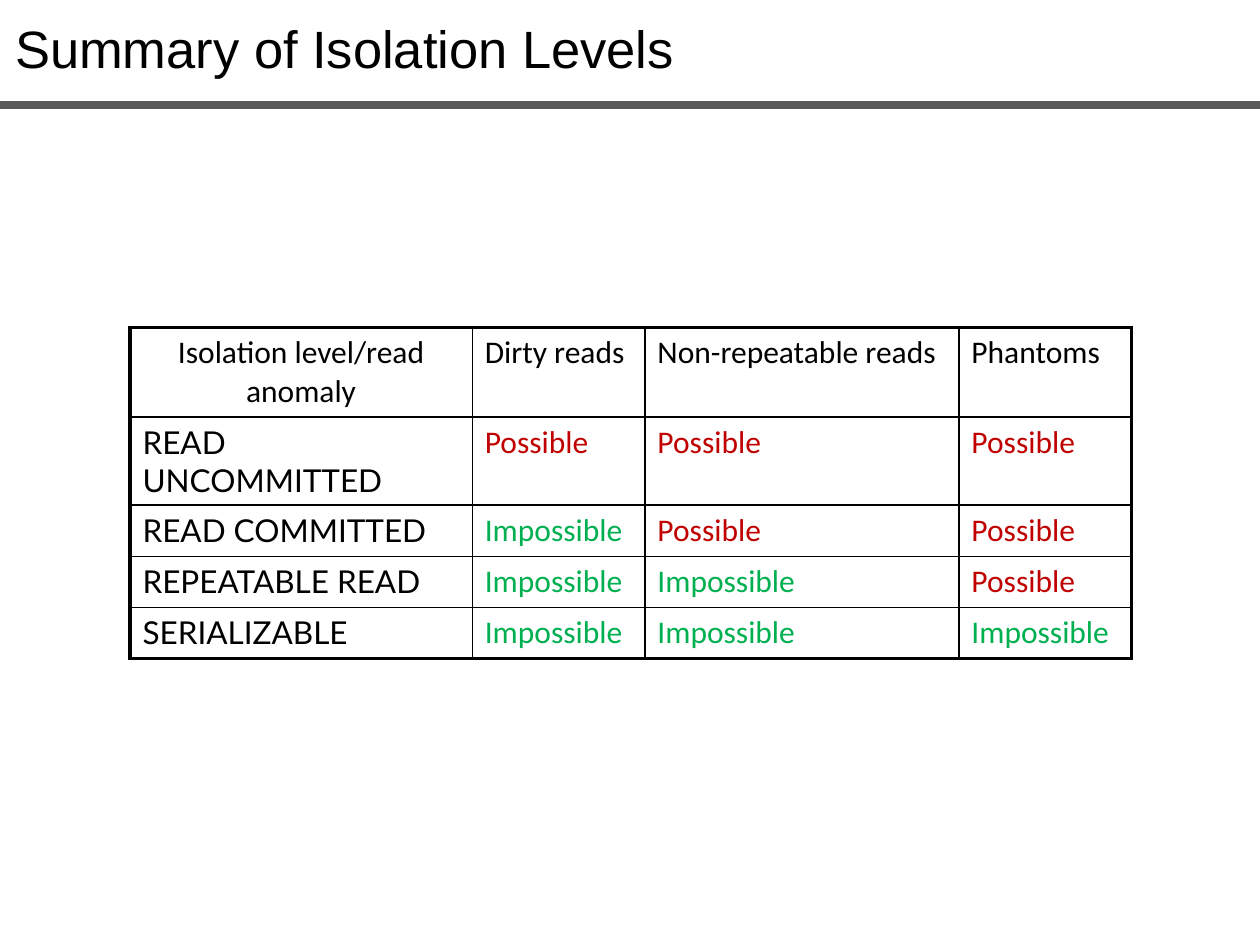
import pptx
import pptx.util
import pptx.dml.color
import pptx.enum.shapes
import pptx.enum.text
import pptx.oxml.ns
import lxml.etree

Cm = pptx.util.Cm
Pt = pptx.util.Pt
qn = pptx.oxml.ns.qn


def paint(color, code):
    color.rgb = pptx.dml.color.RGBColor.from_string(code)


def edge(cell, side, width):
    line = lxml.etree.SubElement(cell._tc.get_or_add_tcPr(), qn("a:ln" + side), w=str(Pt(width)))
    fill = lxml.etree.SubElement(line, qn("a:solidFill"))
    lxml.etree.SubElement(fill, qn("a:srgbClr"), val="000000")


deck = pptx.Presentation()
deck.slide_width = Cm(25.4)
deck.slide_height = Cm(19.05)
slide = deck.slides.add_slide(deck.slide_layouts[5])

title = slide.shapes.title
title.left, title.top, title.width, title.height = Cm(0.05), Cm(0.18), Cm(25.35), Cm(1.55)
frame = title.text_frame
frame.text = "Summary of Isolation Levels"
frame.auto_size = pptx.enum.text.MSO_AUTO_SIZE.NONE
frame.vertical_anchor = pptx.enum.text.MSO_ANCHOR.MIDDLE
frame.paragraphs[0].alignment = pptx.enum.text.PP_ALIGN.LEFT
font = frame.paragraphs[0].runs[0].font
font.name = "Arial"
font.size = Pt(30)
paint(font.color, "000000")

rule = slide.shapes.add_connector(
    pptx.enum.shapes.MSO_CONNECTOR.STRAIGHT, Cm(0), Cm(2.11), Cm(25.4), Cm(2.11))
rule.line.width = Pt(4.5)
paint(rule.line.color, "595959")
lxml.etree.SubElement(rule._element.spPr, qn("a:effectLst"))

rows = [
    ["Isolation level/read anomaly", "Dirty reads", "Non-repeatable reads", "Phantoms"],
    ["READ UNCOMMITTED", "Possible", "Possible", "Possible"],
    ["READ COMMITTED", "Impossible", "Possible", "Possible"],
    ["REPEATABLE READ", "Impossible", "Impossible", "Possible"],
    ["SERIALIZABLE", "Impossible", "Impossible", "Impossible"],
]
widths = [6.9, 3.48, 6.33, 3.48]
heights = [1.79, 1.78, 1.02, 1.02, 1.02]
colors = {"Possible": "C00000", "Impossible": "00B050"}

table = slide.shapes.add_table(
    len(rows), len(widths), Cm(2.62), Cm(6.6), Cm(sum(widths)), Cm(sum(heights))).table
table.first_row = False
table.horz_banding = False
for column, width in zip(table.columns, widths):
    column.width = Cm(width)
for row, height in zip(table.rows, heights):
    row.height = Cm(height)

for r, texts in enumerate(rows):
    for c, text in enumerate(texts):
        cell = table.cell(r, c)
        outer = {"L": c == 0, "R": c == len(widths) - 1, "T": r == 0, "B": r == len(rows) - 1}
        for side, thick in outer.items():
            edge(cell, side, 2.25 if thick else 1)
        cell.fill.background()
        cell.text_frame.text = text
        font = cell.text_frame.paragraphs[0].runs[0].font
        font.name = "Lato" if r > 0 and c == 0 else "Calibri"
        font.size = Pt(18)
        paint(font.color, colors.get(text, "000000"))

table.cell(0, 0).text_frame.paragraphs[0].alignment = pptx.enum.text.PP_ALIGN.CENTER

deck.save("out.pptx")
